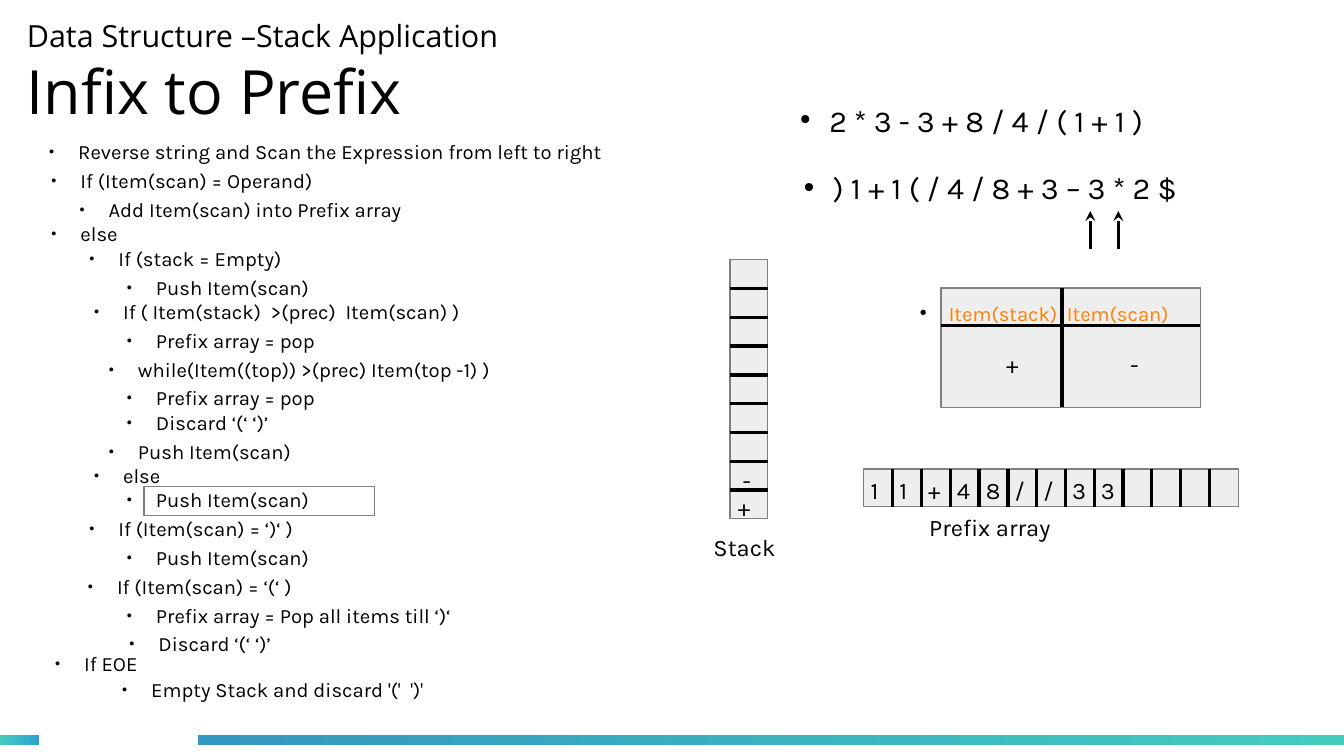
from lxml import etree
from pptx import Presentation
from pptx.dml.color import RGBColor
from pptx.enum import shapes, text
from pptx.oxml import ns
from pptx.util import Pt

COLORS = {
    "ink": "000000",
    "outline": "808080",
    "cell": "EEEEEE",
    "accent": "FF8000",
    "teal": "43CCBD",
    "blue": "30A2D2",
    "deep_blue": "3497C1",
}
BODY_FONT, TITLE_FONT = "Karla", "Open Sans"
HANG = 17.28
CELL, DEPTH = 17, 22.3
LOOSE, TIGHT = 17, 14.4

# Indent, line pitch and wording of each step
STEPS = [
    (0, 14, "Reverse string and Scan the Expression from left to right"),
    (1.4, LOOSE, "If (Item(scan) = Operand)"),
    (18, LOOSE, "Add Item(scan) into Prefix array"),
    (1.4, TIGHT, "else"),
    (23.8, TIGHT, "If (stack = Empty)"),
    (46, LOOSE, "Push Item(scan)"),
    (26.6, TIGHT, "If ( Item(stack)  >(prec)  Item(scan) )"),
    (46, LOOSE, "Prefix array = pop"),
    (35.3, LOOSE, "while(Item((top)) >(prec) Item(top -1) )"),
    (46, LOOSE, "Prefix array = pop"),
    (46, TIGHT, "Discard ‘(‘ ‘)’"),
    (35.3, LOOSE, "Push Item(scan)"),
    (26.6, TIGHT, "else"),
    (46, TIGHT, "Push Item(scan)"),
    (23.8, LOOSE, "If (Item(scan) = ‘)‘ )"),
    (46, LOOSE, "Push Item(scan)"),
    (23, LOOSE, "If (Item(scan) = ‘(‘ )"),
    (46, LOOSE, "Prefix array = Pop all items till ‘)‘"),
    (47.5, LOOSE, "Discard ‘(‘ ‘)’"),
    (3.6, 11.5, "If EOE"),
    (43.2, 15.5, "Empty Stack and discard '('  ')'"),
]


def rgb(name):
    return RGBColor.from_string(COLORS[name])


def add_run(paragraph, wording, size, font=BODY_FONT, color="ink"):
    run = paragraph.add_run()
    run.text = wording
    run.font.size = Pt(size)
    run.font.name = font
    run.font.color.rgb = rgb(color)


def add_bullet(paragraph, indent=0):
    properties = paragraph._p.get_or_add_pPr()
    properties.set("marL", str(Pt(indent + HANG)))
    properties.set("indent", str(-Pt(HANG)))
    color = etree.SubElement(properties, ns.qn("a:buClr"))
    etree.SubElement(color, ns.qn("a:srgbClr"), val=COLORS["ink"])
    etree.SubElement(properties, ns.qn("a:buSzPct"), val="45000")
    etree.SubElement(properties, ns.qn("a:buChar"), char="●")


def prepare_frame(shape):
    """Give the text frame no margins, wrapping and a fixed size."""
    frame = shape.text_frame
    frame.margin_left = frame.margin_right = 0
    frame.margin_top = frame.margin_bottom = 0
    frame.word_wrap = True
    frame.auto_size = text.MSO_AUTO_SIZE.NONE
    return frame


def place(shape, left, top, width, height):
    shape.left, shape.top = Pt(left), Pt(top)
    shape.width, shape.height = Pt(width), Pt(height)


def fill_title(title):
    place(title, 15.84, 5.76, 721.4, 73.44)
    frame = prepare_frame(title)
    frame.vertical_anchor = text.MSO_ANCHOR.MIDDLE
    paragraph = frame.paragraphs[0]
    paragraph.alignment = text.PP_ALIGN.LEFT
    add_run(paragraph, "Data Structure –Stack Application", 18, TITLE_FONT)
    paragraph.add_line_break()
    add_run(paragraph, "Infix to Prefix", 36, TITLE_FONT)


def fill_steps(body):
    place(body, 28.8, 82.8, 370, 335)
    frame = prepare_frame(body)
    for number, (indent, pitch, wording) in enumerate(STEPS):
        paragraph = frame.add_paragraph() if number else frame.paragraphs[0]
        add_bullet(paragraph, indent)
        paragraph.line_spacing = Pt(pitch)
        paragraph.space_before = Pt(0)
        add_run(paragraph, wording, 12)


def add_label(slide, wording, left, top, width, size=14, color="ink", bullet=False):
    box = slide.shapes.add_textbox(Pt(left), Pt(top), Pt(width), Pt(size * 1.3))
    paragraph = prepare_frame(box).paragraphs[0]
    if bullet:
        add_bullet(paragraph)
    add_run(paragraph, wording, size, color=color)


def add_box(slide, left, top, width, height):
    box = slide.shapes.add_shape(
        shapes.MSO_SHAPE.RECTANGLE, Pt(left), Pt(top), Pt(width), Pt(height))
    box.shadow.inherit = False
    box.line.color.rgb = rgb("outline")
    box.line.width = Pt(0)
    return box


def add_cell_box(slide, left, top, width, height):
    box = add_box(slide, left, top, width, height)
    box.fill.solid()
    box.fill.fore_color.rgb = rgb("cell")


def add_gradient_bar(slide, left, width, start, end):
    bar = add_box(slide, left, 434.2, width, 5.76)
    bar.line.fill.background()
    bar.fill.gradient()
    bar.fill.gradient_angle = 0
    for stop, color in zip(bar.fill.gradient_stops, (start, end)):
        stop.color.rgb = rgb(color)


def add_line(slide, x1, y1, x2, y2, arrow=False):
    line = slide.shapes.add_connector(
        shapes.MSO_CONNECTOR.STRAIGHT, Pt(x1), Pt(y1), Pt(x2), Pt(y2))
    line.line.color.rgb = rgb("ink")
    line.line.width = Pt(0)
    if arrow:
        etree.SubElement(line.line._get_or_add_ln(), ns.qn("a:tailEnd"), type="stealth")
    etree.SubElement(line._element.spPr, ns.qn("a:effectLst"))


def draw_expressions(slide):
    add_label(slide, "2 * 3 - 3 + 8 / 4 / ( 1 + 1 )", 472.3, 60.5, 280, 18, bullet=True)
    add_label(slide, ") 1 + 1 ( / 4 / 8 + 3 – 3 * 2 $", 474.5, 100.1, 280, 18, bullet=True)
    for x in (643.7, 660.2):
        add_line(slide, x, 146.9, x, 124.6, arrow=True)


def draw_comparison(slide):
    left, top, width, height = 555.6, 170, 153, 70.6
    add_cell_box(slide, left, top, width, height)
    add_line(slide, left, 192.2, left + width, 192.2)
    add_line(slide, 627.1, top, 627.1, top + height)
    add_label(slide, "Item(stack)  Item(scan)", 542.9, 178, 180, 12, "accent", bullet=True)
    add_label(slide, "+", 594, 206.6, CELL)
    add_label(slide, "-", 667.4, 206.6, CELL)


def draw_stack(slide):
    left, top, cells = 431, 153.4, 9
    add_cell_box(slide, left, top, DEPTH, cells * CELL)
    for number in range(1, cells):
        y = top + number * CELL
        add_line(slide, left, y, left + DEPTH, y)
    add_label(slide, "-", 438.5, 275, CELL)
    add_label(slide, "+", 435.6, 290.9, CELL)
    add_label(slide, "Stack", 421.2, 314.6, 60)


def draw_prefix_array(slide):
    left, top, cells = 510, 277, 13
    add_cell_box(slide, left, top, cells * CELL, DEPTH)
    for number in range(1, cells):
        x = left + number * CELL
        add_line(slide, x, top, x, top + DEPTH)
    for number, symbol in enumerate("11+48//33"):
        add_label(slide, symbol, left + 4 + number * CELL, top + 3.8, CELL)
    add_label(slide, "Prefix array", 548.6, 303.1, 110)


def main():
    presentation = Presentation()
    presentation.slide_width, presentation.slide_height = Pt(793.44), Pt(446.4)
    slide = presentation.slides.add_slide(presentation.slide_layouts[1])
    fill_title(slide.shapes.title)
    fill_steps(slide.placeholders[1])
    add_gradient_bar(slide, 0, 23, "teal", "blue")
    add_gradient_bar(slide, 117, 676.44, "deep_blue", "teal")
    current_step = add_box(slide, 85, 287.3, 136, 17.3)
    current_step.fill.background()
    draw_expressions(slide)
    draw_comparison(slide)
    draw_stack(slide)
    draw_prefix_array(slide)
    presentation.save("out.pptx")


if __name__ == "__main__":
    main()
